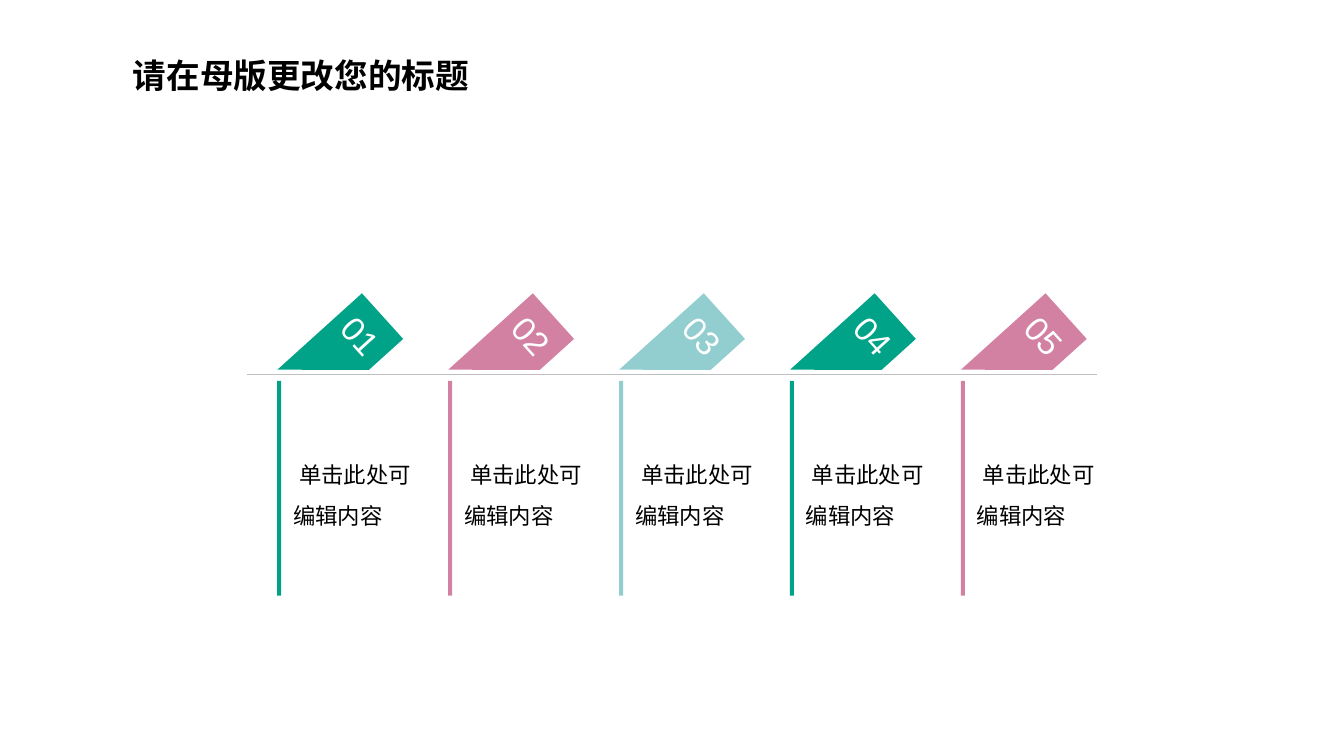
from pptx import Presentation
from pptx.dml.color import RGBColor
from pptx.enum.shapes import MSO_CONNECTOR, MSO_SHAPE
from pptx.enum.text import MSO_ANCHOR, PP_ALIGN
from pptx.oxml.ns import qn
from pptx.util import Inches, Pt
from lxml import etree

STRAIGHT = MSO_CONNECTOR.STRAIGHT
RECTANGLE = MSO_SHAPE.RECTANGLE
TOP, MIDDLE = MSO_ANCHOR.TOP, MSO_ANCHOR.MIDDLE
CENTER = PP_ALIGN.CENTER

COLORS = {
    "green": "00A388",
    "pink": "D381A2",
    "aqua": "92CDCF",
    "grey": "BFBFBF",
    "black": "000000",
    "white": "FEFFFF",
}
LATIN, CHINESE = "Arial", "Noto Sans CJK SC"
STEP_COLORS = ["green", "pink", "aqua", "green", "pink"]
STEP_TEXT = "单击此处可编辑内容"
FIRST_LEFT, LAST_LEFT = 2.75, 9.53
FLAG_UNIT = 0.01
FLAG_OUTLINE = [(0, 0), (61, 0), (61, 46), (0, 113)]
FLAG_ANGLE = 47.9


def color(name):
    return RGBColor.from_string(COLORS[name])


def add_span(para, text, size, font, color_name, bold=False):
    span = para.add_run()
    span.text = text
    span.font.size = Pt(size)
    span.font.name = font
    span.font.bold = bold
    span.font.color.rgb = color(color_name)
    east_asian = etree.SubElement(span.font._element, qn("a:ea"))
    east_asian.set("typeface", CHINESE)


def add_text_box(page, left, top, width, height):
    box = page.shapes.add_textbox(
        Inches(left), Inches(top), Inches(width), Inches(height))
    box.text_frame.word_wrap = True
    box.text_frame.vertical_anchor = MIDDLE
    return box.text_frame.paragraphs[0]


def paint(shape, color_name):
    shape.shadow.inherit = False
    shape.fill.solid()
    shape.fill.fore_color.rgb = color(color_name)
    shape.line.fill.background()


def add_title(page, left, top, width, height):
    para = add_text_box(page, left, top, width, height)
    add_span(para, "请在母版更改您的标题", 24, CHINESE, "black", bold=True)


def add_baseline(page, left, top, width):
    line = page.shapes.add_connector(
        STRAIGHT, Inches(left), Inches(top), Inches(left + width), Inches(top))
    line.line.color.rgb = color("grey")
    line.line.width = Pt(0.5)
    etree.SubElement(line._element.spPr, qn("a:effectLst"))


def add_flag(page, left, top, number, color_name):
    builder = page.shapes.build_freeform(
        *FLAG_OUTLINE[0], scale=Inches(FLAG_UNIT))
    builder.add_line_segments(FLAG_OUTLINE[1:], close=True)
    flag = builder.convert_to_shape(Inches(left), Inches(top))
    flag.rotation = FLAG_ANGLE
    paint(flag, color_name)
    frame = flag.text_frame
    frame.word_wrap = True
    frame.vertical_anchor = TOP
    frame.margin_left = frame.margin_right = Inches(0.05)
    frame.margin_top = Inches(0.09)
    para = frame.paragraphs[0]
    para.alignment = CENTER
    add_span(para, f"{number:02d}", 24, LATIN, "white")


def add_step(page, left, top, number, color_name):
    add_flag(page, left + 0.32, top + 0.04, number, color_name)
    body_top, body_height = top + 0.87, 2.13
    bar = page.shapes.add_shape(
        RECTANGLE, Inches(left), Inches(body_top), Inches(0.04), Inches(body_height))
    paint(bar, color_name)
    para = add_text_box(page, left + 0.06, body_top, 1.38, body_height)
    para.line_spacing = 1.5
    para._p.get_or_add_pPr().set("indent", str(Inches(0.06)))
    add_span(para, STEP_TEXT, 16, LATIN, "black")


def build_steps_page(deck):
    page = deck.slides.add_slide(deck.slide_layouts[6])
    add_title(page, 1.22, 0.49, 5.7, 0.5)
    add_baseline(page, 2.45, 3.71, 8.43)
    pitch = (LAST_LEFT - FIRST_LEFT) / (len(STEP_COLORS) - 1)
    for index, color_name in enumerate(STEP_COLORS):
        add_step(page, FIRST_LEFT + index * pitch, 2.91, index + 1, color_name)


def main():
    deck = Presentation()
    deck.slide_width = Inches(13.33)
    deck.slide_height = Inches(7.5)
    build_steps_page(deck)
    deck.save("out.pptx")


if __name__ == "__main__":
    main()
